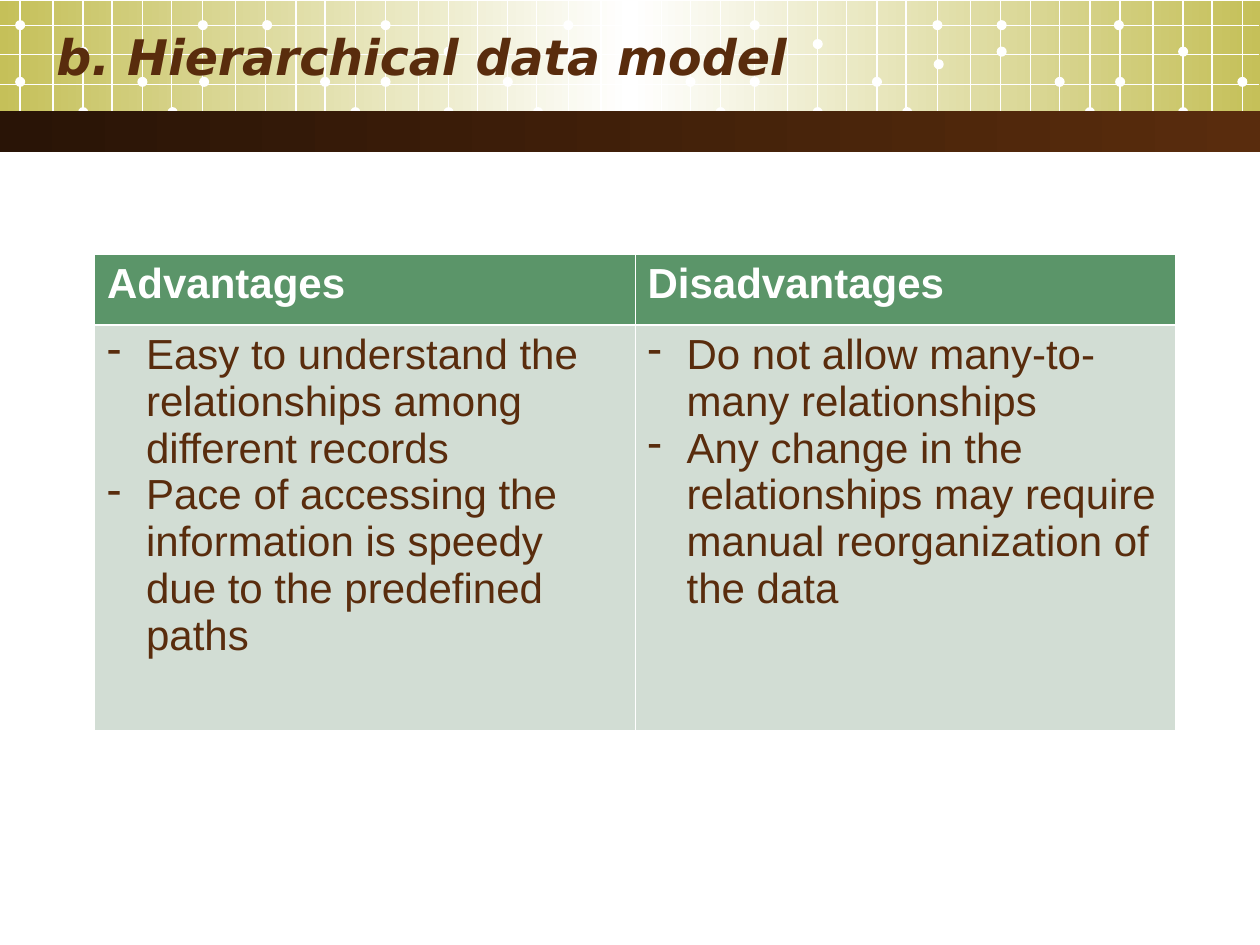
"""Build the slide on the hierarchical data model: grid banner, title and comparison table."""
from copy import deepcopy
from typing import NamedTuple

from lxml.etree import SubElement
from pptx import Presentation
from pptx.dml.color import RGBColor
from pptx.enum.shapes import MSO_CONNECTOR as Connector, MSO_SHAPE as Preset
from pptx.enum.text import MSO_ANCHOR as Anchor
from pptx.oxml.ns import qn
from pptx.util import Inches, Pt

WHITE = RGBColor(0xFF, 0xFF, 0xFF)
OLIVE = RGBColor(0xC5, 0xC0, 0x59)
DARK_BROWN = RGBColor(0x29, 0x14, 0x06)
BROWN = RGBColor(0x59, 0x2C, 0x0D)
GREEN = RGBColor(0x5B, 0x95, 0x69)
PALE_GREEN = RGBColor(0xD2, 0xDD, 0xD4)

GROUP_STARTS = (0.16, 3.06, 5.99, 8.89)
LINE_OFFSETS = (0, 0.26, 0.5, 0.73, 0.97, 1.2, 1.45, 1.71, 1.95, 2.19, 2.42, 2.66)
ROW_POSITIONS = (0.2, 0.43, 0.67, 0.89)
DOT_SIZE = 0.08
DOT_ROWS = {
    0.16: (0.12, 1.57, 2.08, 3.02, 4.47, 4.97, 5.95, 7.4, 7.91, 8.84),
    0.31: (6.45,),
    0.37: (0.62, 2.08, 3.52, 4.47, 4.97, 7.91, 9.35),
    0.47: (7.41,),
    0.61: (0.12, 1.09, 1.58, 2.54, 3.02, 3.99, 5.44, 5.95, 6.92, 8.37, 8.85, 9.82),
    0.85: (0.62, 1.33, 2.78, 3.52, 4.23, 5.68, 6.45, 7.16, 8.61, 9.35),
}

TITLE_FONT = {"name": "DejaVu Sans", "size": Pt(28), "bold": True, "italic": True}
HEADER_FONT = {"name": "Arial", "size": Pt(24), "bold": True}
BODY_FONT = {"name": "Arial", "size": Pt(24), "bold": False}
THIN, THICK = Pt(0.45), Pt(1.47)


class Band(NamedTuple):
    top: float
    height: float
    colors: tuple[RGBColor, ...]


class Column(NamedTuple):
    header: str
    points: tuple[str, ...]


BANNER = Band(0.01, 1.02, (OLIVE, WHITE, OLIVE))
STRIPE = Band(0.88, 0.33, (DARK_BROWN, BROWN))
COLUMNS = (
    Column("Advantages", (
        "Easy to understand the relationships among different records",
        "Pace of accessing the information is speedy due to the predefined paths",
    )),
    Column("Disadvantages", (
        "Do not allow many-to-many relationships",
        "Any change in the relationships may require manual reorganization of the data",
    )),
)


def set_font(paragraph, font_values: dict, color: RGBColor) -> None:
    for name, value in font_values.items():
        setattr(paragraph.font, name, value)
    paragraph.font.color.rgb = color


def draw_band(slide, band: Band) -> None:
    shape = slide.shapes.add_shape(
        Preset.RECTANGLE, 0, Inches(band.top), Inches(10), Inches(band.height))
    shape.shadow.inherit = False
    shape.line.fill.background()
    shape.fill.gradient()
    shape.fill.gradient_angle = 0
    stop_list = next(shape.element.iter(qn("a:gsLst")))
    while len(stop_list) < len(band.colors):
        stop_list.append(deepcopy(stop_list[0]))
    for index, (stop, color) in enumerate(zip(shape.fill.gradient_stops, band.colors)):
        stop.position = index / (len(band.colors) - 1)
        stop.color.rgb = color


def draw_dot(slide, left: float, top: float) -> None:
    dot = slide.shapes.add_shape(
        Preset.OVAL, Inches(left), Inches(top), Inches(DOT_SIZE), Inches(DOT_SIZE))
    dot.shadow.inherit = False
    dot.fill.solid()
    dot.fill.fore_color.rgb = WHITE
    dot.line.fill.background()


def draw_line(slide, x1: float, y1: float, x2: float, y2: float) -> None:
    line = slide.shapes.add_connector(
        Connector.STRAIGHT, Inches(x1), Inches(y1), Inches(x2), Inches(y2))
    line.line.color.rgb = WHITE
    line.line.width = Pt(0.75)
    SubElement(line.element.spPr, qn("a:effectLst"))


def draw_grid(slide) -> None:
    for start in GROUP_STARTS:
        for offset in LINE_OFFSETS:
            if start + offset < 10:
                draw_line(slide, start + offset, 0, start + offset, 1.1)
    for y in ROW_POSITIONS:
        draw_line(slide, -0.01, y, 9.99, y)
    for top, lefts in DOT_ROWS.items():
        for left in lefts:
            draw_dot(slide, left, top)


def draw_title(slide, text: str) -> None:
    box = slide.shapes.add_textbox(Inches(0.35), Inches(0.05), Inches(9.14), Inches(0.79))
    box.text_frame.word_wrap = True
    box.text_frame.vertical_anchor = Anchor.MIDDLE
    paragraph = box.text_frame.paragraphs[0]
    paragraph.text = text
    set_font(paragraph, TITLE_FONT, BROWN)


def add_dash(paragraph) -> None:
    properties = paragraph._p.get_or_add_pPr()
    properties.set("marL", str(Inches(0.31)))
    properties.set("indent", str(-Inches(0.31)))
    bullet_color = SubElement(properties, qn("a:buClr"))
    SubElement(bullet_color, qn("a:srgbClr"), val=str(BROWN))
    SubElement(properties, qn("a:buChar"), char="-")


def style_cell(cell, fill: RGBColor, top: int, bottom: int) -> None:
    properties = cell._tc.get_or_add_tcPr()
    for side, width in {"L": THIN, "R": THIN, "T": top, "B": bottom}.items():
        border = SubElement(properties, qn(f"a:ln{side}"), w=str(int(width)))
        SubElement(SubElement(border, qn("a:solidFill")), qn("a:srgbClr"), val=str(WHITE))
    cell.fill.solid()
    cell.fill.fore_color.rgb = fill


def draw_table(slide, columns: tuple[Column, ...]) -> None:
    table = slide.shapes.add_table(
        2, len(columns), Inches(0.75), Inches(2.02), Inches(8.58), Inches(3.78)).table
    for row, height in zip(table.rows, (0.56, 3.22)):
        row.height = Inches(height)
    for index, column in enumerate(columns):
        table.columns[index].width = Inches(4.29)
        header, body = table.cell(0, index), table.cell(1, index)
        style_cell(header, GREEN, THIN, THICK)
        style_cell(body, PALE_GREEN, THICK, THIN)
        header.text = column.header
        set_font(header.text_frame.paragraphs[0], HEADER_FONT, WHITE)
        body.text = "\n".join(column.points)
        for paragraph in body.text_frame.paragraphs:
            add_dash(paragraph)
            set_font(paragraph, BODY_FONT, BROWN)


def main() -> None:
    presentation = Presentation()
    presentation.slide_width, presentation.slide_height = Inches(10), Inches(7.5)
    slide = presentation.slides.add_slide(presentation.slide_layouts[6])
    draw_band(slide, BANNER)
    draw_grid(slide)
    draw_band(slide, STRIPE)
    draw_title(slide, "b. Hierarchical data model")
    draw_table(slide, COLUMNS)
    presentation.save("out.pptx")


if __name__ == "__main__":
    main()
